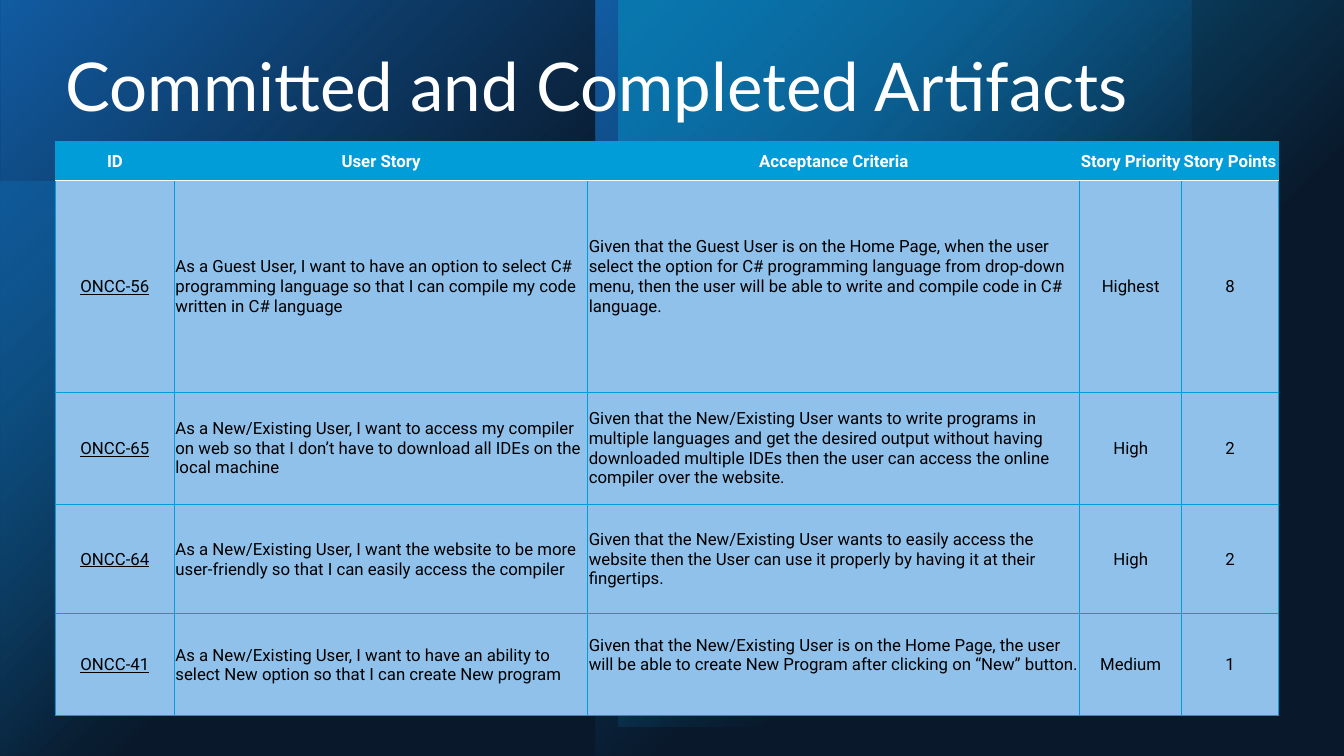
from dataclasses import dataclass

from lxml import etree
from pptx import Presentation
from pptx.dml.color import RGBColor
from pptx.enum.shapes import MSO_SHAPE
from pptx.enum.text import MSO_ANCHOR, PP_ALIGN
from pptx.oxml import parse_xml
from pptx.oxml.ns import nsdecls, qn
from pptx.util import Inches, Pt

BLACK = RGBColor(0x00, 0x00, 0x00)
WHITE = RGBColor(0xFF, 0xFF, 0xFF)
CYAN = RGBColor(0x00, 0x9D, 0xD9)
TEAL = RGBColor(0x0B, 0xD0, 0xD9)
BLUE = RGBColor(0x0F, 0x6F, 0xC6)
NAVY = RGBColor(0x17, 0x40, 0x6D)
PALE = RGBColor(0x90, 0xC1, 0xEB)


@dataclass
class Panel:
    left: float
    top: float
    width: float
    height: float
    color: RGBColor
    opacity: int = 100
    rotation: int = 0
    flips: str = "v"
    glow: bool = False  # soft-edged ellipse instead of a fading rectangle
    fades: bool = True


@dataclass
class Story:
    key: str
    story: str
    criteria: str
    priority: str
    points: int
    height: float
    lift: float = 0  # extra bottom margin under the criteria


PANELS = [
    Panel(0, 1.8, 5.71, 5.71, CYAN, 60),
    Panel(6.29, 0.43, 4.72, 4.72, TEAL, 60, glow=True),
    Panel(0, 0.56, 6.94, 6.94, TEAL, 20, glow=True),
    Panel(0, 0, 5.91, 7.5, BLUE, rotation=180),
    Panel(5.91, 0, 5.91, 7.5, BLUE, rotation=180, flips="hv"),
    Panel(6.13, 0, 7.21, 7.21, CYAN, rotation=180),
    Panel(0, 0, 13.33, 7.5, NAVY, 40, flips="", fades=False),
]

HEADERS = ["ID", "User Story", "Acceptance Criteria", "Story Priority", "Story Points"]
COL_WIDTHS = [1.18, 4.1, 4.88, 1.01, 0.96]
HEADER_HEIGHT = 0.39
STORIES = [
    Story("ONCC-56",
          "As a Guest User, I want to have an option to select C# programming language "
          "so that I can compile my code written in C# language",
          "Given that the Guest User is on the Home Page, when the user select the option "
          "for C# programming language from drop-down menu, then the user will be able to "
          "write and compile code in C# language.", "Highest", 8, 2.1, 0.2),
    Story("ONCC-65",
          "As a New/Existing User, I want to access my compiler on web so that I don’t "
          "have to download all IDEs on the local machine",
          "Given that the New/Existing User wants to write programs in multiple languages "
          "and get the desired output without having downloaded multiple IDEs then the user "
          "can access the online compiler over the website.", "High", 2, 1.11),
    Story("ONCC-64",
          "As a New/Existing User, I want the website to be more user-friendly so that I "
          "can easily access the compiler",
          "Given that the New/Existing User wants to easily access the website then the "
          "User can use it properly by having it at their fingertips.", "High", 2, 1.09),
    Story("ONCC-41",
          "As a New/Existing User, I want to have an ability to select New option so that "
          "I can create New program",
          "Given that the New/Existing User is on the Home Page, the user will be able to "
          "create New Program after clicking on “New” button.", "Medium", 1, 1.01, 0.2),
]


def fade_xml(color: RGBColor, opacity: int) -> str:
    stops = "".join(
        f'<a:gs pos="{pos}000"><a:srgbClr val="{color}"><a:alpha val="{alpha}000"/>'
        "</a:srgbClr></a:gs>" for pos, alpha in ((0, opacity), (60, 0)))
    return (f'<a:gradFill {nsdecls("a")} rotWithShape="1"><a:gsLst>{stops}</a:gsLst>'
            '<a:path path="circle"><a:fillToRect r="100000" b="100000"/></a:path>'
            "</a:gradFill>")


def add_panel(s, panel: Panel) -> None:
    kind = MSO_SHAPE.OVAL if panel.glow else MSO_SHAPE.RECTANGLE
    sp = s.shapes.add_shape(kind, *map(
        Inches, (panel.left, panel.top, panel.width, panel.height)))
    sp.shadow.inherit = False
    sp.line.fill.background()
    sp.rotation = panel.rotation
    sp_pr = sp._element.spPr
    for axis in panel.flips:
        sp_pr.find(qn("a:xfrm")).set(f"flip{axis.upper()}", "1")
    sp.fill.solid()
    sp.fill.fore_color.rgb = panel.color
    solid = sp_pr.find(qn("a:solidFill"))
    if panel.fades and not panel.glow:
        sp_pr.replace(solid, parse_xml(fade_xml(panel.color, panel.opacity)))
    else:
        etree.SubElement(solid[0], qn("a:alpha"), val=str(panel.opacity * 1000))
    if panel.glow:
        effects = sp_pr.find(qn("a:effectLst"))
        etree.SubElement(effects, qn("a:softEdge"), rad=str(Inches(1.39)))


def set_borders(cell, bottom: RGBColor, bottom_width: float) -> None:
    tc_pr = cell._tc.get_or_add_tcPr()
    sides = [("L", CYAN, 0.5), ("R", CYAN, 0.5), ("T", CYAN, 0.5),
             ("B", bottom, bottom_width)]
    for i, (side, color, width) in enumerate(sides):
        tc_pr.insert(i, parse_xml(
            f'<a:ln{side} {nsdecls("a")} w="{Pt(width)}"><a:solidFill>'
            f'<a:srgbClr val="{color}"/></a:solidFill></a:ln{side}>'))


def fill_cell(cell, text: str, centered: bool, header: bool = False,
              underline: bool = False, lift: float = 0) -> None:
    cell.text = text
    cell.vertical_anchor = MSO_ANCHOR.MIDDLE
    cell.margin_left = cell.margin_right = cell.margin_top = Inches(0.01)
    cell.margin_bottom = Inches(lift)
    cell.fill.solid()
    cell.fill.fore_color.rgb = CYAN if header else PALE
    p = cell.text_frame.paragraphs[0]
    p.alignment = PP_ALIGN.CENTER if centered else PP_ALIGN.LEFT
    p.font.name, p.font.size = "Roboto", Pt(12)
    p.font.bold, p.font.underline = header, underline
    p.font.color.rgb = WHITE if header else BLACK


def add_story_table(s) -> None:
    heights = [HEADER_HEIGHT] + [story.height for story in STORIES]
    table = s.shapes.add_table(
        len(heights), len(HEADERS), Inches(0.55), Inches(1.4),
        Inches(sum(COL_WIDTHS)), Inches(sum(heights))).table
    for column, width in zip(table.columns, COL_WIDTHS):
        column.width = Inches(width)
    for row, height in zip(table.rows, heights):
        row.height = Inches(height)

    for c, header in enumerate(HEADERS):
        fill_cell(table.cell(0, c), header, True, header=True)
        set_borders(table.cell(0, c), WHITE, 1)
    for r, story in enumerate(STORIES, 1):
        values = [story.key, story.story, story.criteria, story.priority, str(story.points)]
        for c, value in enumerate(values):
            fill_cell(table.cell(r, c), value, c not in (1, 2), underline=c == 0,
                      lift=story.lift if c == 2 else 0)
            if r == 1:
                set_borders(table.cell(r, c), CYAN, 0.5)
                table.cell(r, c)._tc.tcPr.find(qn("a:lnT")).getparent().replace(
                    table.cell(r, c)._tc.tcPr.find(qn("a:lnT")),
                    parse_xml(f'<a:lnT {nsdecls("a")} w="{Pt(1)}"><a:solidFill>'
                              f'<a:srgbClr val="{WHITE}"/></a:solidFill></a:lnT>'))
            else:
                set_borders(table.cell(r, c), CYAN, 0.5)


def place_title(s) -> None:
    title = s.shapes.title
    title.left, title.top, title.width, title.height = map(Inches, (0.55, 0.4, 12.14, 0.99))
    title.text_frame.text = "Committed and Completed Artifacts"
    title.text_frame.vertical_anchor = MSO_ANCHOR.MIDDLE
    p = title.text_frame.paragraphs[0]
    p.alignment, p.line_spacing = PP_ALIGN.LEFT, 0.9
    p.font.name, p.font.size, p.font.color.rgb = "Lato", Pt(48), WHITE
    s.shapes._spTree.append(title._element)  # bring to front


def main() -> None:
    prs = Presentation()
    prs.slide_width, prs.slide_height = Inches(13.33), Inches(7.5)
    s = prs.slides.add_slide(prs.slide_layouts[5])

    # Backdrop
    s.background.fill.solid()
    s.background.fill.fore_color.rgb = BLACK
    for panel in PANELS:
        add_panel(s, panel)

    # Content
    add_story_table(s)
    place_title(s)
    prs.save("out.pptx")


if __name__ == "__main__":
    main()
